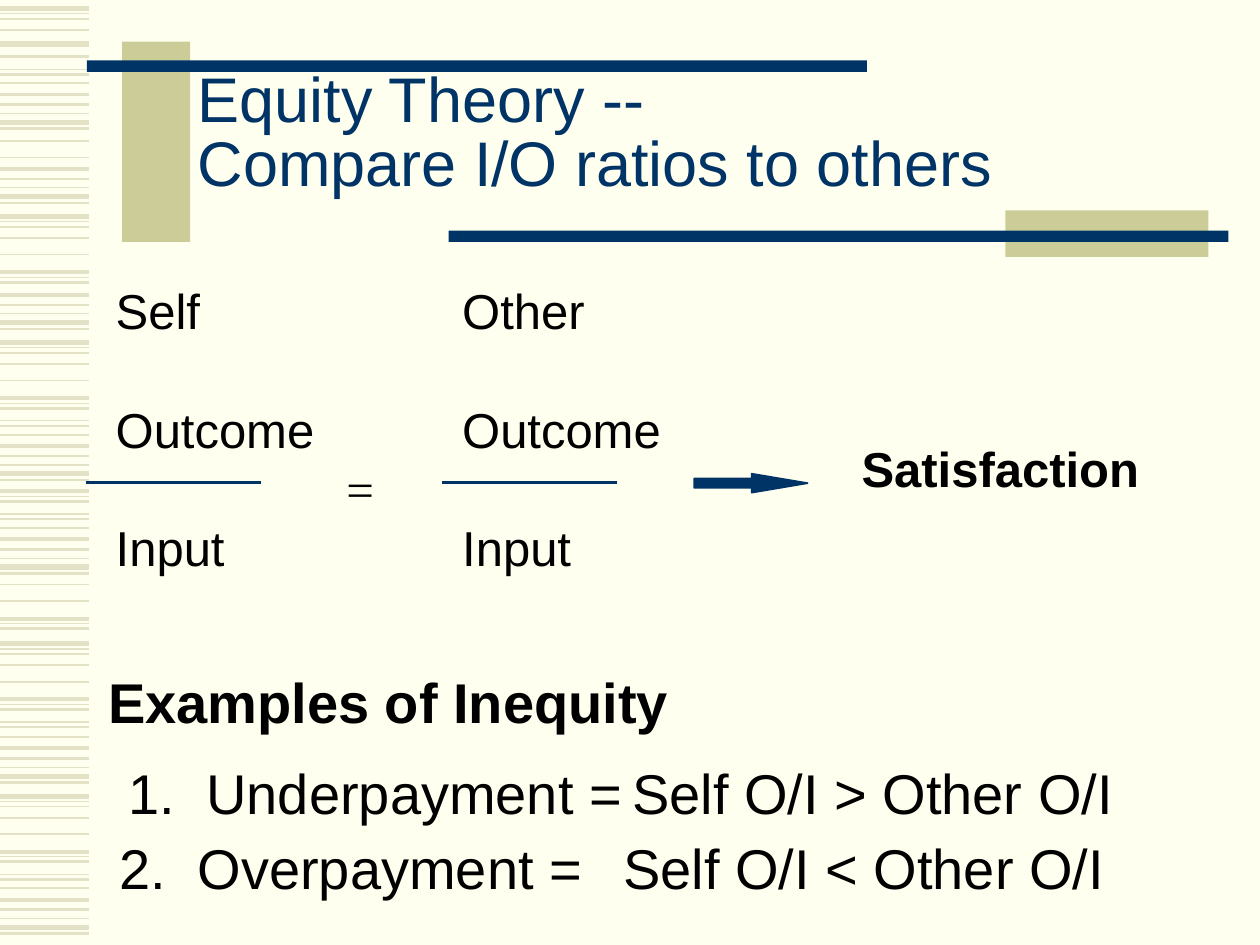
import pptx
import pptx.util
import pptx.dml.color
import pptx.enum.shapes
import pptx.enum.text
import pptx.oxml.ns
import lxml.etree

Inches = pptx.util.Inches
Pt = pptx.util.Pt
Shape = pptx.enum.shapes.MSO_SHAPE
Anchor = pptx.enum.text.MSO_ANCHOR

NAVY, KHAKI, PALE, CREAM, BLACK = "003366", "CCCC99", "E3E2C7", "FFFFEF", "000000"

# Stripe motifs: (offset in inches, weight in points)
SHORT = [(0, 1), (0.09, 2.25), (0.17, 1.5), (0.24, 0.75), (0.31, 3), (0.36, 1.5)]
LONG = [(0, 3), (0.04, 0.75), (0.08, 1), (0.17, 1), (0.3, 1), (0.44, 2.25),
        (0.48, 0.75), (0.52, 1.5), (0.62, 0.75), (0.66, 1.5)]
# Where each motif starts, and the part of it that is used
STRIPES = [
    (0.07, LONG[:4]), (0.35, LONG[:1]), (-0.07, LONG[7:]), (0.66, SHORT),
    (0.82, LONG[4:5]), (1.25, SHORT), (1.72, LONG[:8]), (2.25, SHORT[1:]),
    (2.72, LONG), (3.45, SHORT), (3.46, LONG[5:]), (4.19, SHORT),
    (4.47, LONG[3:8]), (5.11, LONG), (5.85, SHORT), (6.32, LONG), (7.05, SHORT),
]


def color(code):
    return pptx.dml.color.RGBColor.from_string(code)


class SlideBuilder:
    font = "Arial"

    def __init__(self, deck):
        self.slide = deck.slides.add_slide(deck.slide_layouts[6])

    def background(self, code):
        fill = self.slide.background.fill
        fill.solid()
        fill.fore_color.rgb = color(code)

    def line(self, left, right, y, code, weight):
        line = self.slide.shapes.add_connector(
            pptx.enum.shapes.MSO_CONNECTOR.STRAIGHT,
            Inches(left), Inches(y), Inches(right), Inches(y))
        line.line.color.rgb = color(code)
        line.line.width = Pt(weight)
        lxml.etree.SubElement(line.element.spPr, pptx.oxml.ns.qn("a:effectLst"))

    def shape(self, kind, left, top, width, height, code):
        shape = self.slide.shapes.add_shape(
            kind, Inches(left), Inches(top), Inches(width), Inches(height))
        shape.shadow.inherit = False
        shape.fill.solid()
        shape.fill.fore_color.rgb = color(code)
        shape.line.fill.background()
        return shape

    def text(self, left, top, width, height, paragraphs, size, code=BLACK, bold=False,
             font=None, anchor=Anchor.TOP, gap=0, spacing=None, tabs=()):
        box = self.slide.shapes.add_textbox(
            Inches(left), Inches(top), Inches(width), Inches(height))
        frame = box.text_frame
        frame.word_wrap = True
        frame.vertical_anchor = anchor
        for index, lines in enumerate(paragraphs):
            para = frame.paragraphs[0] if index == 0 else frame.add_paragraph()
            if index and gap:
                para.space_before = Pt(gap)
            if spacing:
                para.line_spacing = spacing
            if tabs:
                stops = lxml.etree.SubElement(
                    para._p.get_or_add_pPr(), pptx.oxml.ns.qn("a:tabLst"))
                for stop in tabs:
                    lxml.etree.SubElement(stops, pptx.oxml.ns.qn("a:tab"),
                                          pos=str(Inches(stop)), algn="l")
            for number, words in enumerate(lines.split("\n")):
                if number:
                    para.add_line_break()
                span = para.add_run()
                span.text = words
                span.font.name = font or self.font
                span.font.size = Pt(size)
                span.font.bold = bold
                span.font.color.rgb = color(code)


def main():
    deck = pptx.Presentation()
    deck.slide_width, deck.slide_height = Inches(10), Inches(7.5)
    page = SlideBuilder(deck)
    page.background(CREAM)

    # Striped left edge
    for start, motif in STRIPES:
        for offset, weight in motif:
            page.line(0, 0.71, start + offset, PALE, weight)

    # Title with its bars
    page.shape(Shape.RECTANGLE, 0.97, 0.33, 0.54, 1.59, KHAKI)
    page.shape(Shape.RECTANGLE, 0.69, 0.48, 6.19, 0.09, NAVY)
    page.shape(Shape.RECTANGLE, 7.98, 1.67, 1.61, 0.37, KHAKI)
    page.shape(Shape.RECTANGLE, 3.56, 1.83, 6.19, 0.09, NAVY)
    page.text(1.47, 0.45, 8.07, 1.25, ["Equity Theory --\nCompare I/O ratios to others"],
              36, NAVY, anchor=Anchor.MIDDLE, spacing=0.85)

    # The two ratios
    for person, left, bar in (("Self", 0.82, 0.68), ("Other", 3.57, 3.51)):
        page.text(left, 2.18, 1.85, 2.43, [person, "Outcome", "Input"], 28, gap=34)
        page.line(bar, bar + 1.39, 3.83, NAVY, 2)
    page.text(2.65, 3.59, 0.45, 0.56, ["="], 28, font="Times New Roman")

    # Result
    arrow = page.shape(Shape.RIGHT_ARROW, 5.51, 3.76, 0.9, 0.15, NAVY)
    arrow.adjustments[0], arrow.adjustments[1] = 0.5, 2.96
    arrow.line.color.rgb = color(NAVY)
    arrow.line.width = Pt(1)
    page.text(6.74, 3.43, 2.5, 0.56, ["Satisfaction"], 28, bold=True)

    # Examples
    page.text(0.76, 5.25, 5, 0.64, ["Examples of Inequity"], 32, bold=True)
    for left, top, example in (
            (0.92, 5.97, "1.\tUnderpayment =\tSelf O/I > Other O/I"),
            (0.85, 6.57, "2.\tOverpayment =\tSelf O/I < Other O/I")):
        page.text(left, top, 8.1, 0.63, [example], 32, tabs=(0.62, 4))

    deck.save("out.pptx")


if __name__ == "__main__":
    main()
